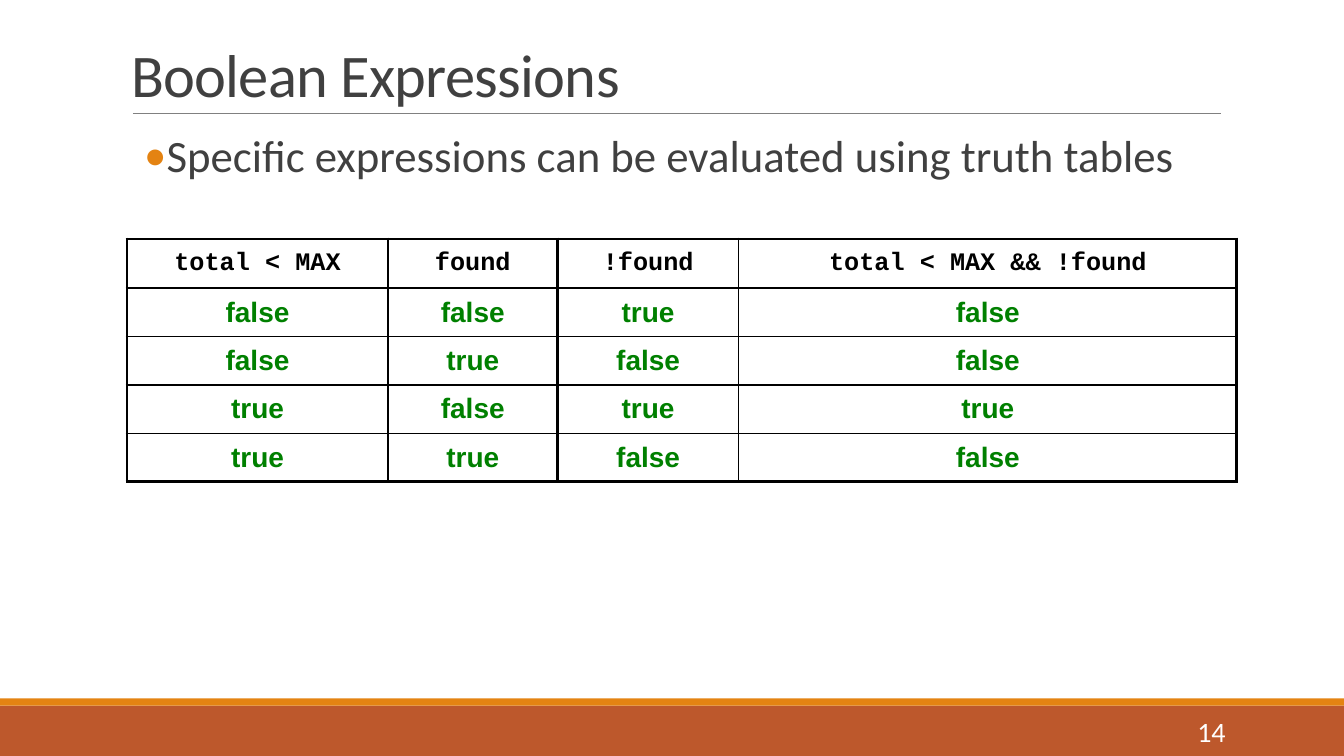
from lxml.etree import SubElement
from pptx import Presentation
from pptx.dml.color import RGBColor
from pptx.enum.shapes import MSO_CONNECTOR, MSO_SHAPE
from pptx.enum.text import MSO_ANCHOR, MSO_AUTO_SIZE, PP_ALIGN
from pptx.oxml.ns import qn
from pptx.util import Cm, Pt

WIDTH, HEIGHT = 33.87, 19.05
RUST, ORANGE, GREY, DARK = "BD582C", "E48312", "808080", "404040"
BLACK, GREEN, WHITE = "000000", "008000", "FFFFFF"

TRUTH_TABLE = [
    ["total < MAX", "found", "!found", "total < MAX && !found"],
    ["false", "false", "true", "false"],
    ["false", "true", "false", "false"],
    ["true", "false", "true", "true"],
    ["true", "true", "false", "false"],
]
COLUMN_WIDTHS = [6.58, 4.27, 4.57, 12.55]
ROW_HEIGHTS = [1.24] + [1.22] * 4
THICK_COLUMN_EDGES = {0, 2, 4}
THICK_ROW_EDGES = {0, 1, 5}


def colour(value):
    return RGBColor.from_string(value)


def place(shape, left, top, width, height):
    shape.left, shape.top = Cm(left), Cm(top)
    shape.width, shape.height = Cm(width), Cm(height)


def write(para, text, size, font, shade, bold=False):
    span = para.add_run()
    span.text = text
    span.font.size = Pt(size)
    span.font.name = font
    span.font.bold = bold
    span.font.color.rgb = colour(shade)
    return span


def add_band(page, top, height, shade):
    band = page.shapes.add_shape(
        MSO_SHAPE.RECTANGLE, Cm(0), Cm(top), Cm(WIDTH), Cm(height))
    band.shadow.inherit = False
    band.fill.solid()
    band.fill.fore_color.rgb = colour(shade)
    band.line.fill.background()


def add_rule(page, left, right, top):
    rule = page.shapes.add_connector(
        MSO_CONNECTOR.STRAIGHT, Cm(left), Cm(top), Cm(right), Cm(top))
    rule.line.color.rgb = colour(GREY)
    rule.line.width = Pt(0.5)
    SubElement(rule._element.spPr, qn("a:effectLst"))


def fill_title(title, text):
    place(title, 3.05, 0.99, 27.94, 1.9)
    frame = title.text_frame
    frame.auto_size = MSO_AUTO_SIZE.NONE
    frame.vertical_anchor = MSO_ANCHOR.BOTTOM
    para = frame.paragraphs[0]
    para.alignment = PP_ALIGN.LEFT
    para.line_spacing = 0.85
    span = write(para, text, 43.2, "Calibri", DARK)
    span.font._element.set("spc", "-50")


def set_bullet(para, indent, shade):
    properties = para._p.get_or_add_pPr()
    properties.set("marL", str(Cm(indent)))
    properties.set("indent", str(Cm(-indent)))
    bullet_colour = SubElement(properties, qn("a:buClr"))
    SubElement(bullet_colour, qn("a:srgbClr"), val=shade)
    SubElement(properties, qn("a:buFont"), typeface="Calibri")
    SubElement(properties, qn("a:buChar"), char="•")


def fill_body(body, text):
    place(body, 3.38, 3.25, 27.53, 2.36)
    frame = body.text_frame
    frame.auto_size = MSO_AUTO_SIZE.NONE
    para = frame.paragraphs[0]
    para.line_spacing = 0.9
    para.space_before, para.space_after = Pt(12), Pt(2)
    set_bullet(para, 0.25, ORANGE)
    write(para, text, 32, "Calibri", DARK)


def set_borders(cell, row, column):
    properties = cell._tc.get_or_add_tcPr()
    edges = {
        "a:lnL": column in THICK_COLUMN_EDGES,
        "a:lnR": column + 1 in THICK_COLUMN_EDGES,
        "a:lnT": row in THICK_ROW_EDGES,
        "a:lnB": row + 1 in THICK_ROW_EDGES,
    }
    for tag, thick in edges.items():
        width = Pt(2.25 if thick else 1)
        border = SubElement(properties, qn(tag), w=str(width))
        fill = SubElement(border, qn("a:solidFill"))
        SubElement(fill, qn("a:srgbClr"), val=BLACK)


def fill_cell(cell, text, row, column):
    set_borders(cell, row, column)
    cell.fill.background()
    cell.vertical_anchor = MSO_ANCHOR.MIDDLE
    para = cell.text_frame.paragraphs[0]
    para.alignment = PP_ALIGN.CENTER
    spacing = SubElement(para._p.get_or_add_pPr(), qn("a:spcBef"))
    SubElement(spacing, qn("a:spcPct"), val="20000")
    if row == 0:
        write(para, text, 18, "Courier New", BLACK, bold=True)
    else:
        write(para, text, 20, "Arial", GREEN, bold=True)


def add_truth_table(page, left, top):
    table = page.shapes.add_table(
        len(ROW_HEIGHTS), len(COLUMN_WIDTHS), Cm(left), Cm(top),
        Cm(sum(COLUMN_WIDTHS)), Cm(sum(ROW_HEIGHTS))).table
    table.first_row = table.horz_banding = False
    for column, width in zip(table.columns, COLUMN_WIDTHS):
        column.width = Cm(width)
    for row, height in zip(table.rows, ROW_HEIGHTS):
        row.height = Cm(height)
    for row, texts in enumerate(TRUTH_TABLE):
        for column, text in enumerate(texts):
            fill_cell(table.cell(row, column), text, row, column)


def add_page_number(page, text):
    box = page.shapes.add_textbox(Cm(27.51), Cm(17.93), Cm(3.63), Cm(1.02))
    frame = box.text_frame
    frame.word_wrap = True
    frame.vertical_anchor = MSO_ANCHOR.MIDDLE
    para = frame.paragraphs[0]
    para.alignment = PP_ALIGN.RIGHT
    write(para, text, 20, "Calibri", WHITE)


def main():
    deck = Presentation()
    deck.slide_width, deck.slide_height = Cm(WIDTH), Cm(HEIGHT)
    page = deck.slides.add_slide(deck.slide_layouts[1])
    add_band(page, 17.78, 1.27, RUST)
    add_band(page, 17.6, 0.18, ORANGE)
    add_rule(page, 3.35, 30.78, 2.85)
    fill_title(page.shapes.title, "Boolean Expressions")
    add_truth_table(page, 3.2, 6.02)
    fill_body(page.placeholders[1],
              "Specific expressions can be evaluated using truth tables")
    add_page_number(page, "14")
    deck.save("out.pptx")


if __name__ == "__main__":
    main()
